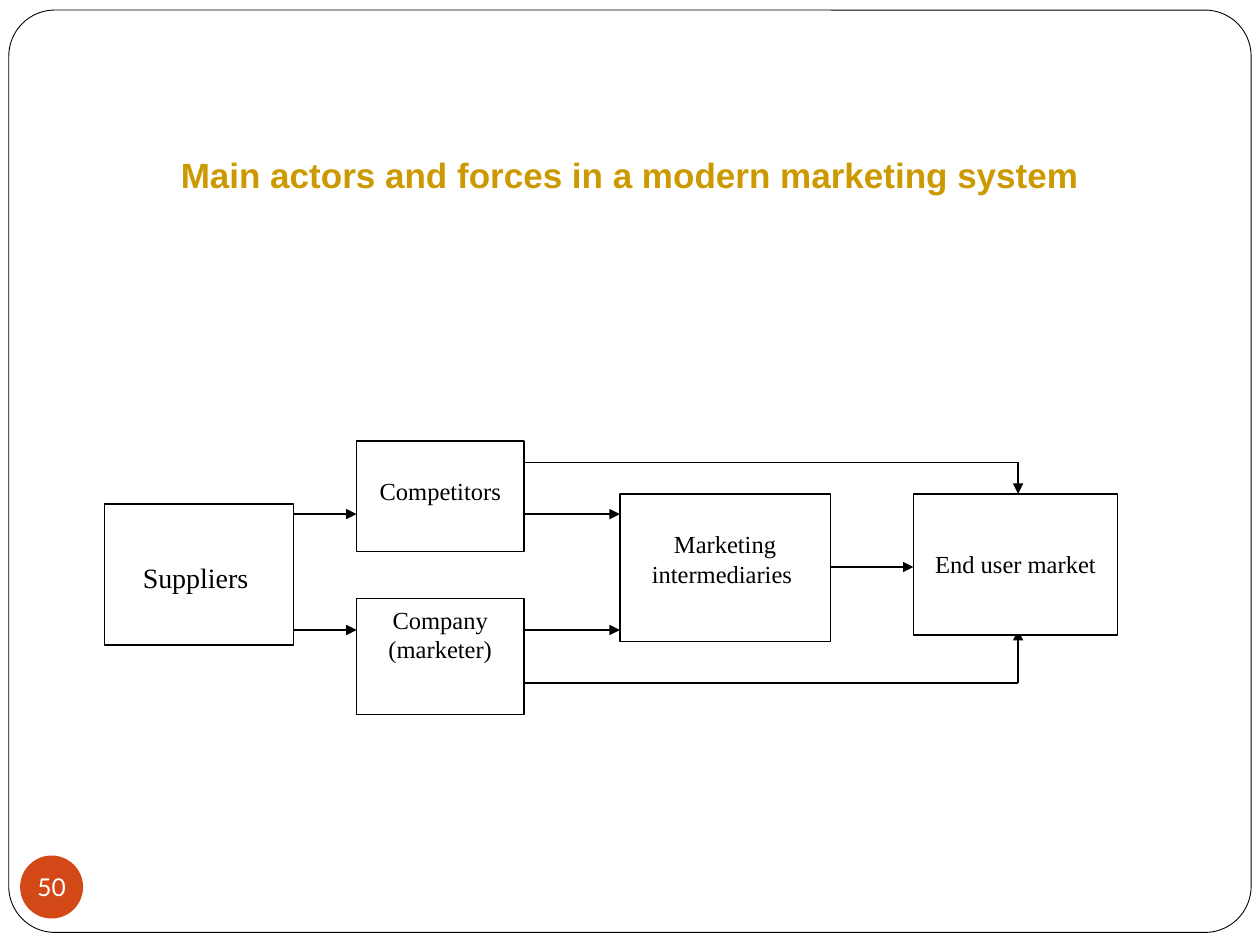
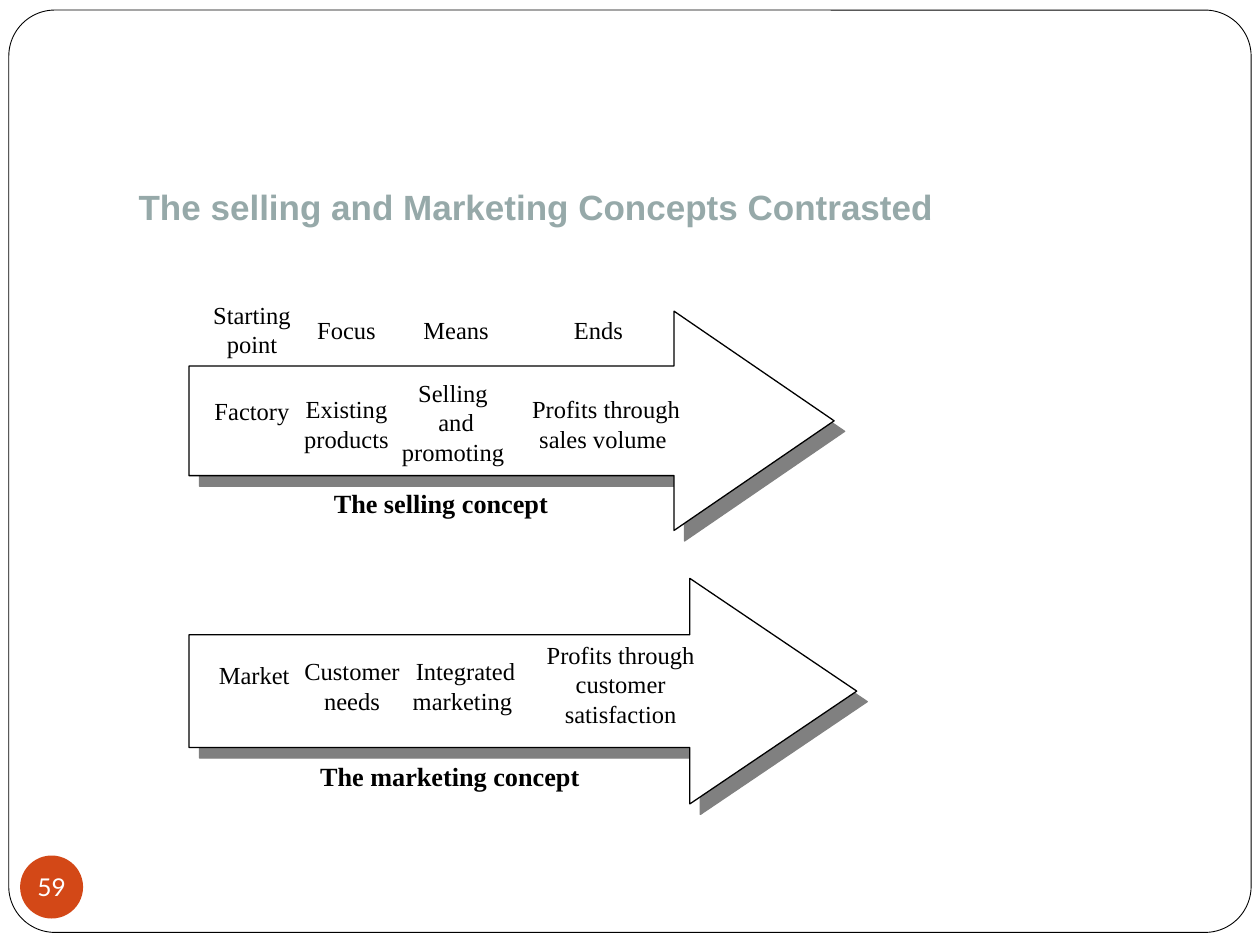
import pptx
import pptx.dml.color
import pptx.enum.shapes
import pptx.enum.text
import pptx.oxml
import pptx.oxml.ns
import pptx.util

Inches = pptx.util.Inches
Pt = pptx.util.Pt
RGBColor = pptx.dml.color.RGBColor
Shape = pptx.enum.shapes.MSO_SHAPE
Align = pptx.enum.text.PP_ALIGN
Anchor = pptx.enum.text.MSO_ANCHOR
qn = pptx.oxml.ns.qn

BLACK = RGBColor(0x00, 0x00, 0x00)
WHITE = RGBColor(0xFF, 0xFF, 0xFF)
ORANGE = RGBColor(0xD3, 0x48, 0x17)
GOLD = RGBColor(0xCC, 0x99, 0x00)
SAGE = RGBColor(0x96, 0xA9, 0xA9)
SHADOW_GREY = RGBColor(0x80, 0x80, 0x80)

SERIF = "Times New Roman"
TITLE_FONT = "Arial"
NUMBER_FONT = "Lato"
SELLING_WIDTH = 5.12


def place(box):
    return [Inches(length) for length in box]


def write(shape, text, size, font=SERIF, color=BLACK, bold=False,
          align=Align.CENTER, anchor=Anchor.TOP, top_inset=0.05):
    frame = shape.text_frame
    frame.word_wrap = True
    frame.vertical_anchor = anchor
    frame.margin_left = frame.margin_right = Inches(0.1)
    frame.margin_top = Inches(top_inset)
    frame.margin_bottom = Inches(0.05)
    frame.text = text
    for para in frame.paragraphs:
        para.alignment = align
        para.font.size = Pt(size)
        para.font.name = font
        para.font.bold = bold
        para.font.color.rgb = color


def add_outlined(page, kind, box, fill=WHITE, line_width=0.75):
    shape = page.shapes.add_shape(kind, *place(box))
    shape.shadow.inherit = False
    if fill is None:
        shape.fill.background()
    else:
        shape.fill.solid()
        shape.fill.fore_color.rgb = fill
    shape.line.color.rgb = BLACK
    shape.line.width = Pt(line_width)
    return shape


def add_label(page, text, center, top, width, size=14, bold=False):
    label = page.shapes.add_textbox(*place((center - width / 2, top, width, 0.75)))
    write(label, text, size, bold=bold)


def add_line(page, start, end, arrow=True):
    line = page.shapes.add_connector(
        pptx.enum.shapes.MSO_CONNECTOR.STRAIGHT, *place(start), *place(end))
    line.line.color.rgb = BLACK
    line.line.width = Pt(0.75)
    properties = line._element.spPr
    if arrow:
        outline = properties.find(qn("a:ln"))
        outline.append(pptx.oxml.parse_xml(
            f'<a:tailEnd {pptx.oxml.ns.nsdecls("a")} type="triangle"/>'))
    properties.append(pptx.oxml.parse_xml(
        f'<a:effectLst {pptx.oxml.ns.nsdecls("a")}/>'))


def add_drop_shadow(shape):
    effects = shape._element.spPr.find(qn("a:effectLst"))
    effects.append(pptx.oxml.parse_xml(
        f'<a:outerShdw {pptx.oxml.ns.nsdecls("a")} dist="{Pt(8.5)}" '
        f'dir="{45 * 60000}" algn="ctr" rotWithShape="0">'
        f'<a:srgbClr val="{SHADOW_GREY}"/></a:outerShdw>'))


def add_page(deck, title, title_box, title_color, title_align, number):
    page = deck.slides.add_slide(deck.slide_layouts[5])
    border = add_outlined(page, Shape.ROUNDED_RECTANGLE,
                          (0.07, 0.08, 9.86, 7.32), None, 0.5)
    border.adjustments[0] = 0.05

    badge = add_outlined(page, Shape.OVAL, (0.16, 6.79, 0.5, 0.5), ORANGE)
    badge.line.fill.background()
    write(badge, number, 14, NUMBER_FONT, WHITE, anchor=Anchor.MIDDLE)
    badge.text_frame.word_wrap = False
    badge.text_frame.margin_left = badge.text_frame.margin_right = 0
    badge.text_frame.margin_top = badge.text_frame.margin_bottom = 0

    heading = page.shapes.title
    heading.left, heading.top, heading.width, heading.height = place(title_box)
    write(heading, title, 20, TITLE_FONT, title_color, True, title_align)
    return page


def add_marketing_system(page, left, top):
    upper, lower = 0.58, 1.5
    bypass_top, bypass_bottom = 0.17, 1.92
    supplier_right, rival_left, rival_right = 1.5, 2, 3.33
    middle_left, middle_right = 4.09, 5.75
    market_left, market_center = 6.42, 7.25

    arrows = [(middle_right, 1, market_left, 1),
              (market_center, bypass_top, market_center, 0.42),
              (market_center, bypass_bottom, market_center, lower)]
    for level in (upper, lower):
        arrows.append((supplier_right, level, rival_left, level))
        arrows.append((rival_right, level, middle_left, level))
    bypasses = [(rival_right, level, market_center, level)
                for level in (bypass_top, bypass_bottom)]
    for x1, y1, x2, y2 in arrows + bypasses:
        add_line(page, (left + x1, top + y1), (left + x2, top + y2),
                 (x1, y1, x2, y2) in arrows)

    actors = [
        ("Suppliers ", (0, 0.5, 1.5, 1.12), 16, 0.45),
        ("Competitors", (rival_left, 0, 1.33, 0.88), 14, 0.28),
        ("Company (marketer)", (rival_left, 1.25, 1.33, 0.92), 14, 0.05),
        ("Marketing intermediaries ", (middle_left, 0.42, 1.67, 1.17), 14, 0.28),
        ("End user market", (market_left, 0.42, 1.62, 1.12), 14, 0.44),
    ]
    for name, (x, y, width, height), size, inset in actors:
        actor = add_outlined(page, Shape.RECTANGLE, (left + x, top + y, width, height))
        write(actor, name, size, top_inset=inset)


def add_concept(page, box, head_ratio, caption, labels):
    left, top, width, height = box
    scale = width / SELLING_WIDTH
    arrow = add_outlined(page, Shape.RIGHT_ARROW, box)
    arrow.adjustments[0] = 0.5
    arrow.adjustments[1] = head_ratio
    add_drop_shadow(arrow)
    columns = [(0.5, 1.25), (1.25, 1.25), (2.12, 1.25), (3.31, 1.62)]
    for (center, label_width), (text, offset) in zip(columns, labels):
        add_label(page, text, left + center * scale, top + offset, label_width * scale)
    add_label(page, caption, left + 2 * scale, top + 1.35 * scale, 2.5 * scale, 15, True)


def add_column_heads(page, left, top):
    heads = [("Starting point", 0.5, 0), ("Focus", 1.25, 0.12),
             ("Means", 2.12, 0.12), ("Ends", 3.25, 0.12)]
    for text, center, offset in heads:
        add_label(page, text, left + center, top + offset, 1.25)


def main():
    deck = pptx.Presentation()
    deck.slide_width, deck.slide_height = Inches(10), Inches(7.5)

    system = add_page(deck, "Main actors and forces in a modern marketing system",
                      (0, 1.17, 10, 0.78), GOLD, Align.CENTER, "50")
    add_marketing_system(system, 0.83, 3.5)

    contrast = add_page(deck, "The selling and Marketing Concepts Contrasted",
                        (1, 1.42, 7.5, 0.45), SAGE, Align.LEFT, "59")
    add_concept(contrast, (1.5, 2.47, SELLING_WIDTH, 1.74), 0.73, "The selling concept",
                [("Factory", 0.62), ("Existing products", 0.61),
                 ("Selling \nand promoting ", 0.48),
                 ("Profits through sales volume ", 0.61)])
    add_column_heads(contrast, 1.5, 2.33)
    add_concept(contrast, (1.5, 4.59, 5.3, 1.79), 0.74, "The marketing concept",
                [("Market", 0.6), ("Customer needs", 0.57),
                 ("Integrated marketing ", 0.57),
                 ("Profits through customer satisfaction", 0.44)])

    deck.save("out.pptx")


if __name__ == "__main__":
    main()
